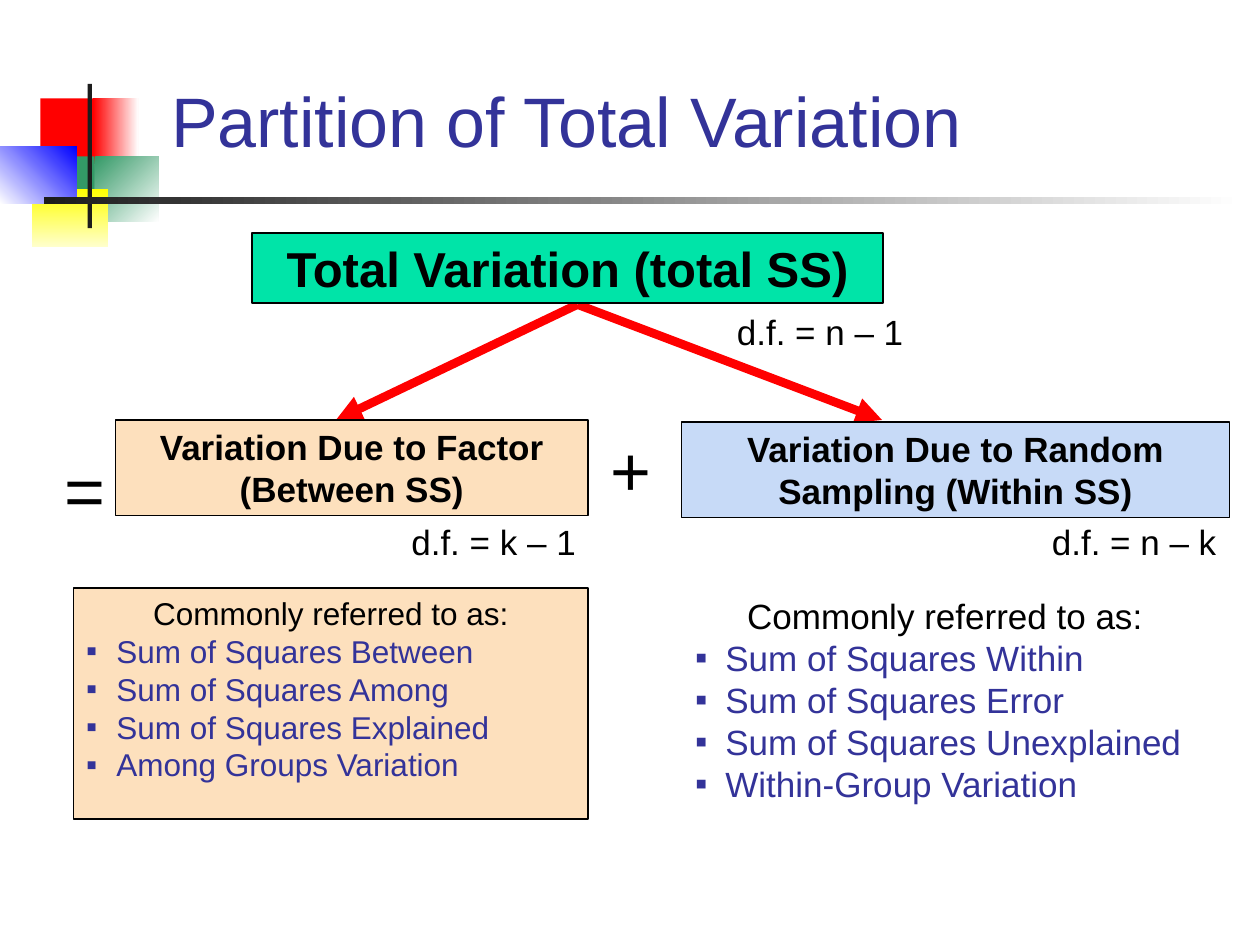
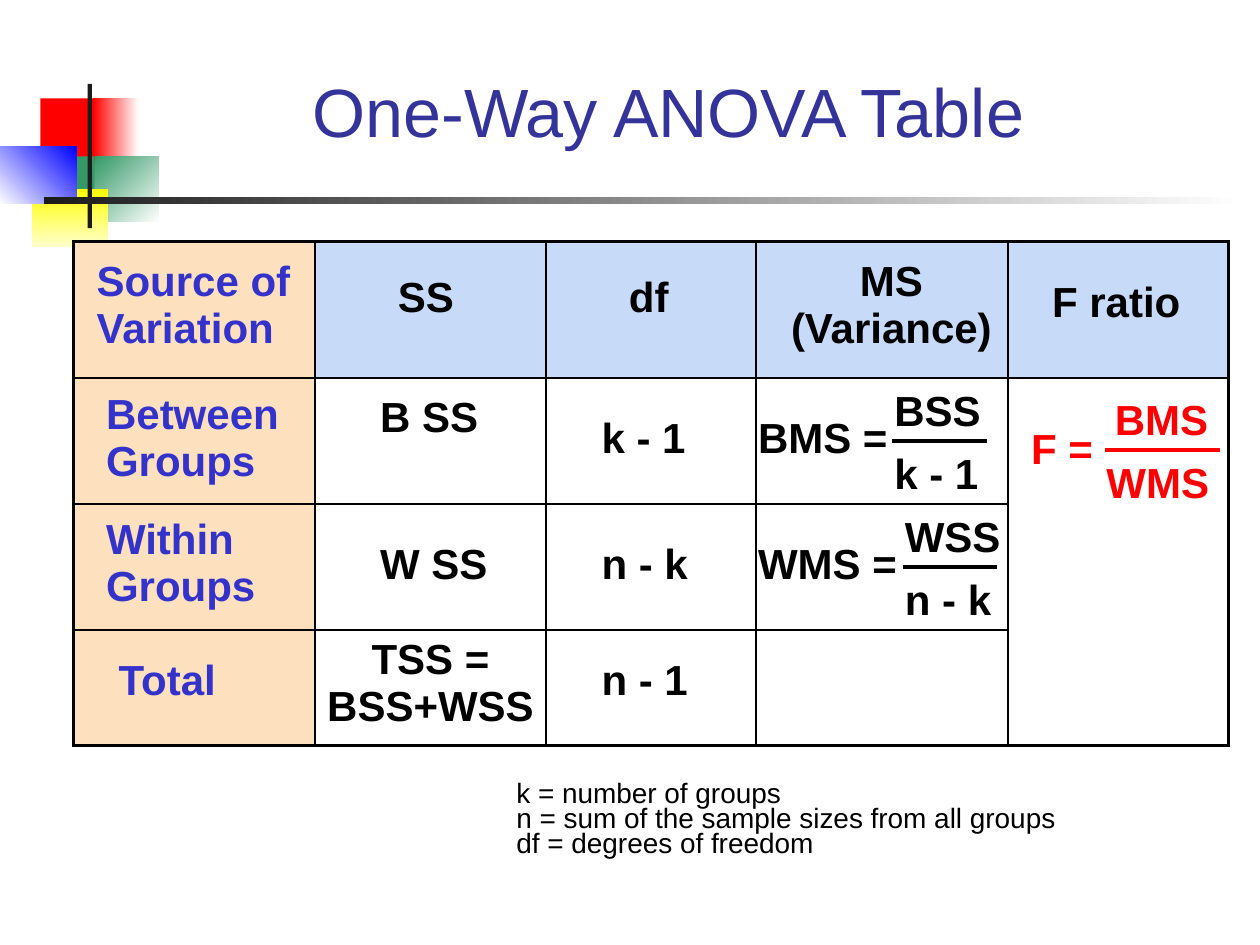
from dataclasses import dataclass

from lxml.etree import SubElement
from pptx import Presentation
from pptx.dml.color import RGBColor
from pptx.enum.shapes import MSO_CONNECTOR, MSO_SHAPE
from pptx.enum.text import MSO_ANCHOR, MSO_AUTO_SIZE, PP_ALIGN
from pptx.oxml.ns import qn
from pptx.util import Inches, Pt

FONT = "Arial"
BLACK = RGBColor(0x00, 0x00, 0x00)
WHITE = RGBColor(0xFF, 0xFF, 0xFF)
RED = RGBColor(0xFF, 0x00, 0x00)
GREEN = RGBColor(0x33, 0x99, 0x66)
YELLOW = RGBColor(0xFF, 0xFF, 0x00)
CREAM = RGBColor(0xFF, 0xFF, 0xCC)
BLUE = RGBColor(0x00, 0x00, 0xFF)
CHARCOAL = RGBColor(0x1C, 0x1C, 0x1C)
INDIGO = RGBColor(0x33, 0x33, 0x99)
VIOLET = RGBColor(0x33, 0x33, 0xCC)
PEACH = RGBColor(0xFD, 0xE0, 0xBD)
SKY = RGBColor(0xC7, 0xDA, 0xF7)
MINT = RGBColor(0x00, 0xE4, 0xA8)
LEFT, CENTER = PP_ALIGN.LEFT, PP_ALIGN.CENTER

# The slide is a grid of 120 columns and 90 rows
COLS, ROWS = 120, 90


def grid(n):
    return Inches(10 * n / COLS)


@dataclass
class Box:
    x: float
    y: float
    w: float
    h: float

    def inner(self, dx, dy, w, h):
        return Box(self.x + dx, self.y + dy, w, h)

    def emu(self):
        return [grid(n) for n in (self.x, self.y, self.w, self.h)]


# Basic elements
def write(tf, lines, size, color=BLACK, bold=False, align=LEFT, spacing=None):
    for i, line in enumerate(lines):
        p = tf.paragraphs[0] if i == 0 else tf.add_paragraph()
        p.alignment = align
        p.line_spacing = spacing
        p.space_before = Pt(0)
        r = p.add_run()
        r.text = line
        f = r.font
        f.name, f.size, f.bold, f.color.rgb = FONT, Pt(size), bold, color


def label(s, box, lines, size, **style):
    tf = s.shapes.add_textbox(*box.emu()).text_frame
    tf.word_wrap = True
    write(tf, lines, size, **style)


def rect(s, box, fill, fade=None, angle=0, line=None):
    sp = s.shapes.add_shape(MSO_SHAPE.RECTANGLE, *box.emu())
    sp.shadow.inherit = False
    if fade is None:
        sp.fill.solid()
        sp.fill.fore_color.rgb = fill
    else:
        sp.fill.gradient()
        sp.fill.gradient_angle = angle
        for stop, color in zip(sp.fill.gradient_stops, (fill, fade)):
            stop.color.rgb = color
    if line:
        sp.line.color.rgb, sp.line.width = BLACK, Pt(line)
    else:
        sp.line.fill.background()
    return sp


def headed_box(s, box, text, size, fill, line):
    tf = rect(s, box, fill, line=line).text_frame
    tf.word_wrap = True
    write(tf, [text], size, bold=True, align=CENTER)


def connect(s, x1, y1, x2, y2, color, width, arrow=False):
    cx = s.shapes.add_connector(MSO_CONNECTOR.STRAIGHT, *[grid(n) for n in (x1, y1, x2, y2)])
    cx.line.color.rgb, cx.line.width = color, Pt(width)
    spPr = cx.element.spPr
    if arrow:
        SubElement(spPr.find(qn("a:ln")), qn("a:tailEnd"), type="triangle")
    SubElement(spPr, qn("a:effectLst"))


def place(ph, box):
    ph.left, ph.top, ph.width, ph.height = box.emu()
    ph.text_frame.auto_size = MSO_AUTO_SIZE.NONE


def title(s, box, text, size, **style):
    place(s.shapes.title, box)
    tf = s.shapes.title.text_frame
    tf.vertical_anchor = MSO_ANCHOR.BOTTOM
    write(tf, [text], size, color=INDIGO, **style)


def bullet_list(ph, box, items, size, fill=None):
    place(ph, box)
    if fill:
        ph.fill.solid()
        ph.fill.fore_color.rgb = fill
        ph.line.color.rgb, ph.line.width = BLACK, Pt(0.75)
    tf = ph.text_frame
    write(tf, ["Commonly referred to as:"] + items, size, color=INDIGO)
    head = tf.paragraphs[0]
    head.alignment = CENTER
    head.runs[0].font.color.rgb = BLACK
    for i, p in enumerate(tf.paragraphs):
        pPr = p._p.get_or_add_pPr()
        indent = Inches(0.24) if i else 0
        pPr.set("marL", str(indent))
        pPr.set("indent", str(-indent))
        if i:
            SubElement(pPr, qn("a:buFont"), typeface=FONT)
            SubElement(pPr, qn("a:buChar"), char="▪")
        else:
            SubElement(pPr, qn("a:buNone"))


# Shared decoration, kept on the slide master
def decorate_master(prs, s, box):
    tiles = [
        rect(s, box.inner(3.84, 1.36, 5.76, 6.24), RED),
        rect(s, box.inner(8.88, 1.36, 4.32, 6.24), RED, WHITE),
        rect(s, box.inner(9, 6.88, 6.12, 6.24), GREEN, WHITE, 315),
        rect(s, box.inner(5.16, 6.88, 3.84, 6.24), GREEN),
        rect(s, box.inner(3, 10, 7.32, 5.52), YELLOW, CREAM, 270),
        rect(s, box.inner(0, 5.92, 7.32, 5.52), WHITE, BLUE, 45),
        rect(s, box.inner(8.34, 0, 0.42, 13.75), CHARCOAL),
        rect(s, box.inner(4.2, 10.75, 114.1, 0.7), CHARCOAL, WHITE),
    ]
    for i, sp in enumerate(tiles):
        sp.element.nvSpPr.cNvPr.set("id", str(100 + i))
        prs.slide_master.shapes.element.insert(2 + i, sp.element)


# Slide 1: the total splits into two sources
def total_box(s, box):
    for x in (27, 79):
        connect(s, box.x + 50, box.y + 7, box.x + x, box.y + 18, RED, 5, arrow=True)
    headed_box(s, box.inner(19, 0.2, 60.1, 6.7), "Total Variation (total SS)", 28, MINT, 1)
    label(s, box.inner(64, 7, 19, 5.2), ["d.f. = n – 1"], 20)


def source_column(s, box, head, head_box, fill, sign, sign_row, df, df_col):
    headed_box(s, box.inner(*head_box), head, 20, fill, 0.75)
    label(s, box.inner(0, sign_row, 11, 9.1), [sign], 40)
    label(s, box.inner(df_col, 9, 19, 5.2), [df], 20)


def partition_slide(s, box):
    title(s, Box(15.1, 3, 92.9, 13), "Partition of Total Variation", 40, spacing=1.1)
    total_box(s, box.inner(0, 0, box.w, 18))
    between, within = box.inner(0, 18, 52, 39), box.inner(52, 18, 61, 39)
    source_column(s, between, "Variation Due to Factor (Between SS)",
                  (6, 0, 45, 9.1), PEACH, "=", 1.9, "d.f. = k – 1", 33)
    source_column(s, within, "Variation Due to Random Sampling (Within SS)",
                  (7.9, 0.2, 52.2, 9.1), SKY, "+", 0, "d.f. = n – k", 42)
    bullet_list(s.placeholders[1], between.inner(2, 16, 49, 22),
                ["Sum of Squares Between", "Sum of Squares Among",
                 "Sum of Squares Explained", "Among Groups Variation"], 18, PEACH)
    bullet_list(s.placeholders[2], within.inner(8, 16, 50, 23),
                ["Sum of Squares Within", "Sum of Squares Error",
                 "Sum of Squares Unexplained", "Within-Group Variation"], 20)


# Slide 2: the ANOVA table
COL_WIDTHS = (23, 22, 20, 24, 21)
ROW_HEIGHTS = (13, 12, 12, 11)
# Each cell: text, left inset, top inset; text of two lines is centred
CELLS = [
    [("Source of Variation", 2.2, 1.6), ("SS", 7.9, 3.1), ("df", 7.9, 3.1),
     ("MS\n(Variance)", 1.8, 1.6), ("F ratio", 4.2, 3.6)],
    [("Between Groups", 3.1, 1.3), ("B SS", 6.2, 1.6), ("k - 1", 5.3, 3.6),
     ("BMS =", 0.2, 3.6), ("F =", 2.2, 4.6)],
    [("Within Groups", 3.1, 1.2), ("W SS", 6.2, 3.6), ("n - k", 5.3, 3.6),
     ("WMS =", 0.2, 3.6)],
    [("Total", 4.3, 2.6), ("TSS =\nBSS+WSS", 0, 0.6), ("n - 1", 5.3, 2.6)],
]


def add_borders(cell):
    tcPr = cell._tc.get_or_add_tcPr()
    for side in ("lnL", "lnR", "lnT", "lnB"):
        ln = SubElement(tcPr, qn(f"a:{side}"), w=str(Pt(1.5)))
        SubElement(SubElement(ln, qn("a:solidFill")), qn("a:srgbClr"), val=str(BLACK))


def anova_table(s, box):
    table = s.shapes.add_table(len(ROW_HEIGHTS), len(COL_WIDTHS), *box.emu()).table
    table.horz_banding = table.first_row = False
    for col, w in zip(table.columns, COL_WIDTHS):
        col.width = grid(w)
    for row, h in zip(table.rows, ROW_HEIGHTS):
        row.height = grid(h)
    for i in range(len(ROW_HEIGHTS)):
        for j in range(len(COL_WIDTHS)):
            cell = table.cell(i, j)
            add_borders(cell)
            if i and j:
                cell.fill.background()
            else:
                cell.fill.solid()
                cell.fill.fore_color.rgb = SKY if j else PEACH
    table.cell(1, 4).merge(table.cell(3, 4))
    for i, row in enumerate(CELLS):
        for j, (text, left, top) in enumerate(row):
            cell = table.cell(i, j)
            cell.margin_left, cell.margin_top = grid(left), grid(top)
            cell.margin_right = cell.margin_bottom = 0
            color = VIOLET if i + j and j == 0 or text.startswith("Source") else BLACK
            if text == "F =":
                color = RED
            align = CENTER if "\n" in text else LEFT
            write(cell.text_frame, text.split("\n"), 24, color, True, align)


def fraction(s, box, top, bottom, color=BLACK, shift=0):
    half = box.h / 2
    label(s, box.inner(shift, 0, 12.2, half), [top], 24, color=color, bold=True)
    label(s, box.inner(0, half, 12.2, half), [bottom], 24, color=color, bold=True)
    y = box.y + half
    connect(s, box.x + 1, y, box.x + box.w, y, color, 2.25)


def anova_slide(s, box):
    title(s, Box(13, 5, 101.3, 10), "One-Way ANOVA Table", 39, align=CENTER)
    anova_table(s, box)
    fraction(s, box.inner(77, 13, 10, 12), "BSS", "k - 1")
    fraction(s, box.inner(78, 25, 10, 12), "WSS", "n - k")
    fraction(s, box.inner(97.2, 13.9, 12, 12), "BMS", "WMS", RED, 0.8)
    label(s, box.inner(41, 51, 67, 11),
          ["k = number of groups", "n = sum of the sample sizes from all groups",
           "df = degrees of freedom"], 16, spacing=0.75)


def main():
    prs = Presentation()
    prs.slide_width, prs.slide_height = grid(COLS), grid(ROWS)
    two_lists, title_only = prs.slide_layouts[3], prs.slide_layouts[5]
    s = prs.slides.add_slide(two_lists)
    decorate_master(prs, s, Box(0, 8, COLS, 16))
    partition_slide(s, Box(5, 22, 113, 57))
    anova_slide(prs.slides.add_slide(title_only), Box(7, 23, 110, 48))
    prs.save("out.pptx")


if __name__ == "__main__":
    main()
